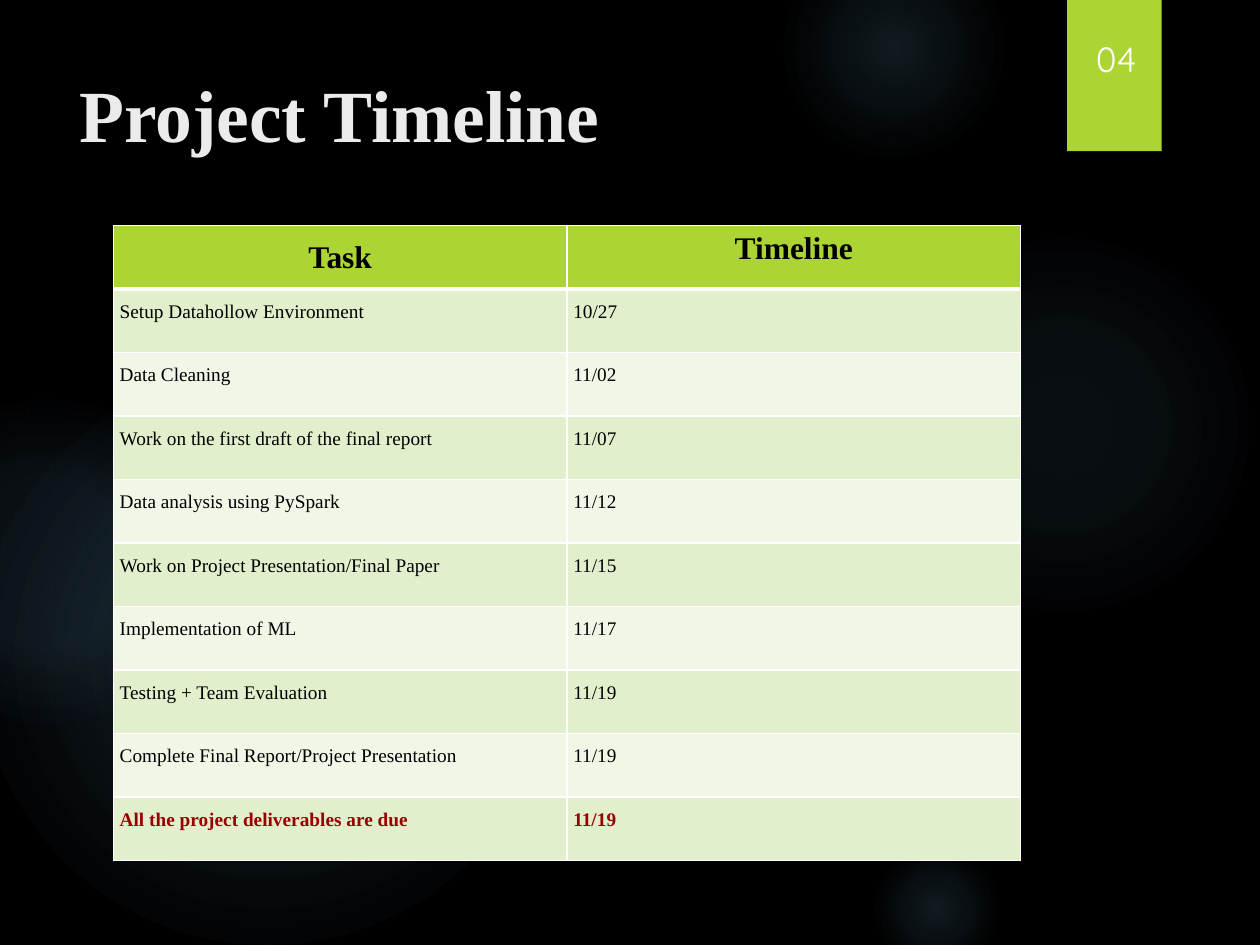
from lxml import etree
from pptx import Presentation
from pptx.dml.color import RGBColor
from pptx.enum.shapes import MSO_SHAPE
from pptx.enum.text import MSO_ANCHOR, PP_ALIGN
from pptx.oxml import parse_xml
from pptx.oxml.ns import nsdecls, qn
from pptx.util import Inches, Pt

OVAL, RECTANGLE = MSO_SHAPE.OVAL, MSO_SHAPE.RECTANGLE
TOP, MIDDLE = MSO_ANCHOR.TOP, MSO_ANCHOR.MIDDLE
LEFT, CENTER = PP_ALIGN.LEFT, PP_ALIGN.CENTER

# Content
TITLE = "Project Timeline"
PAGE_NUMBER = "04"
HEADER = ("Task", "Timeline")
TASKS = [
    ("Setup Datahollow Environment", "10/27"),
    ("Data Cleaning", "11/02"),
    ("Work on the first draft of the final report", "11/07"),
    ("Data analysis using PySpark", "11/12"),
    ("Work on Project Presentation/Final Paper", "11/15"),
    ("Implementation of ML", "11/17"),
    ("Testing + Team Evaluation", "11/19"),
    ("Complete Final Report/Project Presentation", "11/19"),
    ("All the project deliverables are due", "11/19"),
]

# Background glows: left, top, diameter, (position %, opacity %) stops
GLOWS = [
    (6.89, 1.83, 3.08, [(0, 7), (36, 6), (69, 0), (100, 0)]),
    (6.22, -0.5, 1.75, [(0, 14), (36, 7), (73, 0), (100, 0)]),
    (6.89, 6.67, 1.08, [(0, 14), (36, 7), (66, 0), (100, 0)]),
    (-0.17, 2.92, 4.58, [(0, 11), (36, 10), (75, 0), (100, 0)]),
    (-0.92, 3.17, 2.58, [(0, 8), (36, 8), (72, 0), (100, 0)]),
]

THEME = {
    "background": "000000", "glow": "78C4F1", "accent": "ACD433",
    "title": "EBEBEB", "number": "FFFFFF", "text": "000000", "due": "980000",
    "border": "FFFFFF", "bands": ("E2EFCC", "F1F7E7"),
    "font": "Times New Roman", "number_font": "Quicksand",
    "title_size": 42, "number_size": 20, "header_size": 18, "body_size": 11,
}

# Table layout
TABLE_LEFT, TABLE_TOP = 0.9, 1.79
COLUMN_WIDTH, TABLE_HEIGHT = 3.6, 5.04


def color(name):
    return RGBColor.from_string(name)


def set_margins(target, across, down):
    target.margin_left = target.margin_right = Inches(across)
    target.margin_top = target.margin_bottom = Inches(down)


def style_text(para, font, size, ink, bold=False):
    for span in para.runs:
        span.font.name = font
        span.font.size = Pt(size)
        span.font.bold = bold
        span.font.color.rgb = color(ink)


def add_plain_shape(slide, kind, left, top, width, height):
    shape = slide.shapes.add_shape(
        kind, Inches(left), Inches(top), Inches(width), Inches(height))
    shape.shadow.inherit = False
    shape.line.fill.background()
    return shape


def add_glow(slide, left, top, diameter, stops):
    glow = add_plain_shape(slide, OVAL, left, top, diameter, diameter)
    stop_xml = "".join(
        f'<a:gs pos="{position * 1000}"><a:srgbClr val="{THEME["glow"]}">'
        f'<a:alpha val="{opacity * 1000}"/></a:srgbClr></a:gs>'
        for position, opacity in stops)
    gradient = parse_xml(
        f'<a:gradFill {nsdecls("a")} rotWithShape="1"><a:gsLst>{stop_xml}</a:gsLst>'
        '<a:path path="circle"><a:fillToRect l="50000" t="50000" r="50000" b="50000"/>'
        '</a:path></a:gradFill>')
    glow._element.spPr.find(qn("a:prstGeom")).addnext(gradient)


def set_borders(cell, widths):
    properties = cell._tc.get_or_add_tcPr()
    for index, (side, width) in enumerate(widths.items()):
        line = etree.Element(qn(f"a:ln{side}"), w=str(Pt(width)))
        fill = etree.SubElement(line, qn("a:solidFill"))
        etree.SubElement(fill, qn("a:srgbClr"), val=THEME["border"])
        properties.insert(index, line)


def fill_cell(cell, text, row, column):
    header, due = row == 0, row == len(TASKS)
    cell.text_frame.text = text
    para = cell.text_frame.paragraphs[0]
    para.alignment = CENTER if header else LEFT
    cell.fill.solid()
    if header:
        cell.fill.fore_color.rgb = color(THEME["accent"])
        cell.vertical_anchor = MIDDLE if column == 0 else TOP
        set_margins(cell, 0.08, 0.05)
    else:
        cell.fill.fore_color.rgb = color(THEME["bands"][(row - 1) % 2])
        cell.vertical_anchor = TOP
        set_margins(cell, 0.05, 0.07)
        para.line_spacing = 1.15
    style_text(para, THEME["font"],
               THEME["header_size"] if header else THEME["body_size"],
               THEME["due"] if due else THEME["text"], header or due)
    set_borders(cell, {"L": 1, "R": 1, "T": 3 if row == 1 else 1,
                       "B": 3 if header else 1})


def add_timeline(slide):
    rows = [HEADER] + TASKS
    table = slide.shapes.add_table(
        len(rows), len(HEADER), Inches(TABLE_LEFT), Inches(TABLE_TOP),
        Inches(COLUMN_WIDTH * len(HEADER)), Inches(TABLE_HEIGHT)).table
    for column in table.columns:
        column.width = Inches(COLUMN_WIDTH)
    for row, values in enumerate(rows):
        table.rows[row].height = Inches(TABLE_HEIGHT / len(rows))
        for column, text in enumerate(values):
            fill_cell(table.cell(row, column), text, row, column)


def main():
    deck = Presentation()
    deck.slide_width, deck.slide_height = Inches(10), Inches(7.5)
    slide = deck.slides.add_slide(deck.slide_layouts[5])
    slide.background.fill.solid()
    slide.background.fill.fore_color.rgb = color(THEME["background"])

    # Backdrop
    for glow in GLOWS:
        add_glow(slide, *glow)
    tab = add_plain_shape(slide, RECTANGLE, 8.47, 0, 0.75, 1.2)
    tab.fill.solid()
    tab.fill.fore_color.rgb = color(THEME["accent"])

    # Title, in front of the backdrop
    title = slide.shapes.title
    title._element.getparent().append(title._element)
    title.left, title.top = Inches(0.53), Inches(0.5)
    title.width, title.height = Inches(7.72), Inches(1.53)
    frame = title.text_frame
    frame.text = TITLE
    frame.vertical_anchor = TOP
    set_margins(frame, 0.1, 0.05)
    frame.paragraphs[0].alignment = LEFT
    style_text(frame.paragraphs[0], THEME["font"], THEME["title_size"],
               THEME["title"], True)

    add_timeline(slide)

    # Page number
    box = slide.shapes.add_textbox(
        Inches(8.6), Inches(0.2), Inches(0.54), Inches(0.62))
    frame = box.text_frame
    frame.word_wrap = True
    frame.text = PAGE_NUMBER
    set_margins(frame, 0.1, 0.1)
    style_text(frame.paragraphs[0], THEME["number_font"], THEME["number_size"],
               THEME["number"])

    deck.save("out.pptx")


if __name__ == "__main__":
    main()
